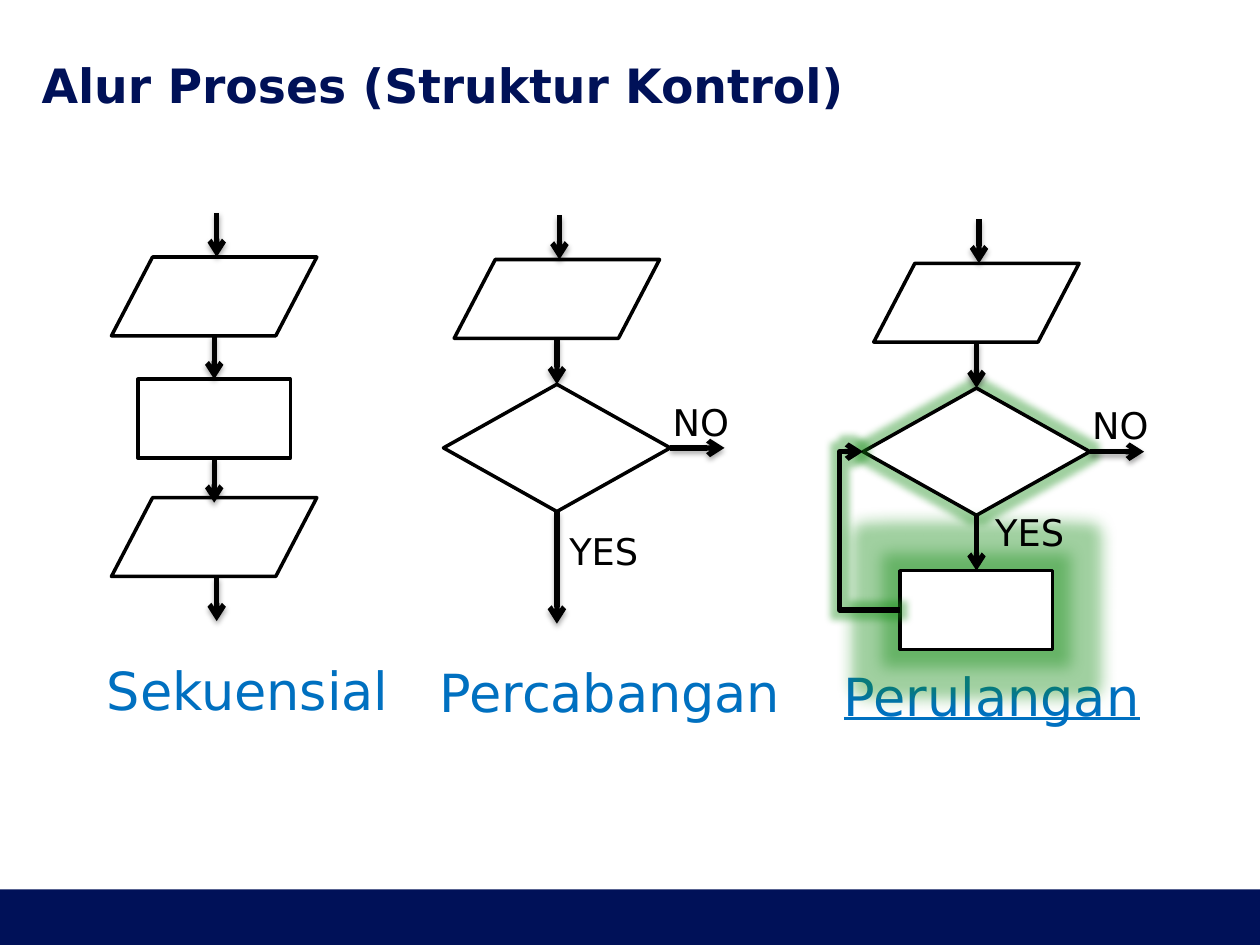
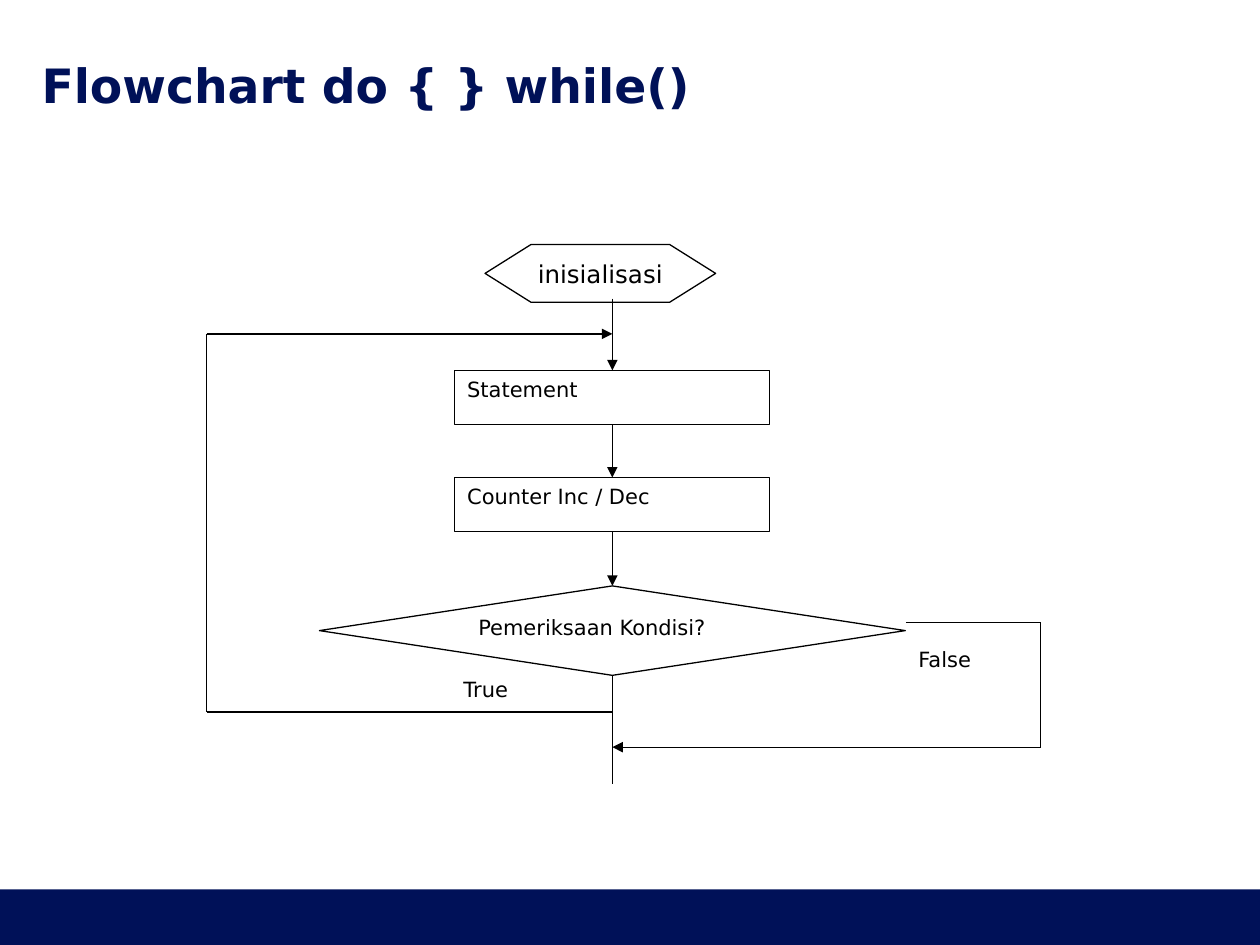
from dataclasses import dataclass
from itertools import pairwise
from typing import NamedTuple

from lxml.etree import SubElement
from pptx import Presentation
from pptx.dml.color import RGBColor
from pptx.enum.shapes import MSO_CONNECTOR, MSO_SHAPE
from pptx.enum.text import MSO_ANCHOR, PP_ALIGN
from pptx.oxml.ns import qn
from pptx.shapes.autoshape import Shape
from pptx.shapes.connector import Connector
from pptx.slide import Slide
from pptx.util import Inches, Pt

COLUMNS, ROWS = 100, 75
CELL = Inches(10) // COLUMNS
TOP, LEFT, BOTTOM, RIGHT = range(4)


@dataclass(frozen=True)
class Theme:
    font: str = "DejaVu Sans"
    navy: str = "001158"
    blue: str = "0070C0"
    black: str = "000000"
    white: str = "FFFFFF"
    glow: str = "128A12"
    title: float = 27
    caption: float = 30
    branch: float = 21
    start: float = 14
    node: float = 12
    arrow_line: float = 3
    symbol_line: float = 2
    thin_line: float = 0.75


THEME = Theme()


class Area(NamedTuple):
    left: float
    top: float
    width: float
    height: float


class Point(NamedTuple):
    column: float
    row: float


class Joint(NamedTuple):
    shape: Shape
    side: int


@dataclass(frozen=True)
class Pen:
    width: float
    head: str = ""
    shadow: bool = False


@dataclass(frozen=True)
class Flow:
    axis: float
    top: float
    caption: str
    caption_left: float
    caption_width: float
    underline: bool = False

    def centred(self, drop: float, width: float, height: float) -> Area:
        return Area(self.axis - width / 2, self.top + drop, width, height)

    def point(self, drop: float, shift: float = 0) -> Point:
        return Point(self.axis + shift, self.top + drop)


BOLD_ARROW = Pen(THEME.arrow_line, "arrow", True)
PLAIN_ARROW = Pen(THEME.arrow_line, "arrow")
THIN_LINE = Pen(THEME.thin_line)
THIN_ARROW = Pen(THEME.thin_line, "triangle")

SEQUENCE = Flow(17, 20.4, "Sekuensial", 7.5, 24.8)
BRANCHING = Flow(44.2, 20.6, "Percabangan", 33.9, 29.2)
LOOP = Flow(77.5, 20.9, "Perulangan", 66, 25.7, True)


def cells(count: float) -> int:
    return round(count * CELL)


def emu(area: tuple[float, ...]) -> list[int]:
    return [cells(value) for value in area]


def color(value: str) -> RGBColor:
    return RGBColor.from_string(value)


def add_effect(properties, kind: str, tint: str, alpha: int, **settings: int) -> None:
    effects = properties.find(qn("a:effectLst"))
    effect = SubElement(effects, qn(f"a:{kind}"), {key: str(value) for key, value in settings.items()})
    shade = SubElement(effect, qn("a:srgbClr"), val=tint)
    SubElement(shade, qn("a:alpha"), val=str(alpha * 1000))


def add_glow(properties, radius: float) -> None:
    add_effect(properties, "glow", THEME.glow, 40, rad=Pt(radius))


def write(box: Shape, text: str, size: float, tint: str = THEME.black, bold: bool = False,
          underline: bool = False, align: PP_ALIGN = PP_ALIGN.LEFT,
          anchor: MSO_ANCHOR = MSO_ANCHOR.TOP, wrap: bool = True) -> None:
    frame = box.text_frame
    frame.text = text
    frame.word_wrap = wrap
    frame.vertical_anchor = anchor
    para = frame.paragraphs[0]
    para.alignment = align
    font = para.runs[0].font
    font.name, font.size, font.bold, font.underline = THEME.font, Pt(size), bold, underline
    font.color.rgb = color(tint)


def add_symbol(page: Slide, kind: MSO_SHAPE, area: Area, line: float = 0,
               fill: str = THEME.white, glow: float = 0) -> Shape:
    shape = page.shapes.add_shape(kind, *emu(area))
    shape.shadow.inherit = False
    if fill:
        shape.fill.solid()
        shape.fill.fore_color.rgb = color(fill)
    else:
        shape.fill.background()
    if line:
        shape.line.color.rgb = color(THEME.black)
        shape.line.width = Pt(line)
    else:
        shape.line.fill.background()
    if glow:
        add_glow(shape.element.spPr, glow)
    return shape


def add_node(page: Slide, kind: MSO_SHAPE, area: Area, text: str, line: float = THEME.thin_line) -> Shape:
    shape = add_symbol(page, kind, area, line)
    write(shape, text, THEME.node)
    return shape


def add_label(page: Slide, area: Area, text: str, size: float, tint: str = THEME.black,
              underline: bool = False) -> None:
    box = page.shapes.add_textbox(*emu(area))
    write(box, text, size, tint, underline=underline, wrap=False)


def style_connector(connector: Connector, pen: Pen) -> None:
    connector.line.color.rgb = color(THEME.black)
    connector.line.width = Pt(pen.width)
    properties = connector.element.spPr
    if pen.head:
        SubElement(connector.line._get_or_add_ln(), qn("a:tailEnd"), type=pen.head)
    SubElement(properties, qn("a:effectLst"))
    if pen.shadow:
        add_effect(properties, "outerShdw", THEME.black, 35,
                   blurRad=Pt(3.1), dist=Pt(1.8), dir=90 * 60000)


def locate(end: Point | Joint) -> tuple[int, int]:
    if isinstance(end, Point):
        return cells(end.column), cells(end.row)
    shape, side = end
    across = {LEFT: 0, RIGHT: shape.width}.get(side, shape.width // 2)
    down = {TOP: 0, BOTTOM: shape.height}.get(side, shape.height // 2)
    return shape.left + across, shape.top + down


def add_line(page: Slide, start: Point | Joint, end: Point | Joint, pen: Pen) -> None:
    connector = page.shapes.add_connector(MSO_CONNECTOR.STRAIGHT, *locate(start), *locate(end))
    style_connector(connector, pen)
    if isinstance(start, Joint):
        connector.begin_connect(*start)
    if isinstance(end, Joint):
        connector.end_connect(*end)


def add_route(page: Slide, *points: Point) -> None:
    for start, end in pairwise(points):
        add_line(page, start, end, THIN_ARROW if end == points[-1] else THIN_LINE)


def add_return(page: Slide, start: Joint, end: Joint, reach: float, glow: float) -> None:
    connector = page.shapes.add_connector(MSO_CONNECTOR.ELBOW, *locate(start), *locate(end))
    style_connector(connector, PLAIN_ARROW)
    properties = connector.element.spPr
    guides = properties.find(qn("a:prstGeom")).get_or_add_avLst()
    SubElement(guides, qn("a:gd"), name="adj1", fmla=f"val {round(reach * 100000)}")
    add_glow(properties, glow)


def add_page(deck, title: str) -> Slide:
    page = deck.slides.add_slide(deck.slide_layouts[6])
    add_symbol(page, MSO_SHAPE.RECTANGLE, Area(0, 70.6, COLUMNS, 4.4), fill=THEME.navy)
    box = page.shapes.add_textbox(*emu(Area(3.3, 4.4, 93.4, 4.7)))
    frame = box.text_frame
    frame.margin_left = frame.margin_right = frame.margin_top = frame.margin_bottom = 0
    write(box, title, THEME.title, THEME.navy, bold=True, anchor=MSO_ANCHOR.MIDDLE)
    return page


def add_data(page: Slide, flow: Flow, drop: float = 0) -> None:
    add_symbol(page, MSO_SHAPE.FLOWCHART_DATA, flow.centred(drop, 16.3, 6.25), THEME.symbol_line)


def add_entry(page: Slide, flow: Flow) -> None:
    add_data(page, flow)
    add_line(page, flow.point(-3.5, 0.2), flow.point(0, 0.2), BOLD_ARROW)
    add_label(page, Area(flow.caption_left, flow.top + 31.3, flow.caption_width, 6.1),
              flow.caption, THEME.caption, THEME.blue, flow.underline)


def add_process(page: Slide, flow: Flow, drop: float, glow: float = 0) -> Shape:
    return add_symbol(page, MSO_SHAPE.RECTANGLE, flow.centred(drop, 12.1, 6.25),
                      THEME.symbol_line, glow=glow)


def add_decision(page: Slide, flow: Flow, glow: float = 0) -> Shape:
    decision = add_symbol(page, MSO_SHAPE.FLOWCHART_DECISION, flow.centred(9.9, 18, 10.1),
                          THEME.symbol_line, glow=glow)
    add_line(page, flow.point(6.25), Joint(decision, TOP), BOLD_ARROW)
    add_line(page, Joint(decision, RIGHT), flow.point(14.95, 13.3), BOLD_ARROW)
    add_label(page, Area(flow.axis + 8.2, flow.top + 10.6, 6.5, 4.5), "NO", THEME.branch)
    return decision


def add_control_structures(deck) -> None:
    page = add_page(deck, "Alur Proses (Struktur Kontrol)")

    add_entry(page, SEQUENCE)
    process = add_process(page, SEQUENCE, 9.7)
    add_data(page, SEQUENCE, 19.1)
    add_line(page, SEQUENCE.point(6.25), Joint(process, TOP), BOLD_ARROW)
    add_line(page, Joint(process, BOTTOM), SEQUENCE.point(19.5), BOLD_ARROW)
    add_line(page, SEQUENCE.point(25.4, 0.2), SEQUENCE.point(28.9, 0.2), BOLD_ARROW)

    add_entry(page, BRANCHING)
    decision = add_decision(page, BRANCHING)
    add_line(page, Joint(decision, BOTTOM), BRANCHING.point(28.9), BOLD_ARROW)
    add_label(page, Area(44.2, 41.5, 7.7, 4.5), "YES", THEME.branch)

    add_entry(page, LOOP)
    decision = add_decision(page, LOOP, glow=8)
    process = add_process(page, LOOP, 24.4, glow=18)
    add_line(page, Joint(decision, BOTTOM), Joint(process, TOP), PLAIN_ARROW)
    add_label(page, Area(78, 40, 7.7, 4.5), "YES", THEME.branch)
    add_return(page, Joint(process, LEFT), Joint(decision, LEFT), 1.63, glow=8)


def add_do_while(deck) -> None:
    page = add_page(deck, "Flowchart do { } while()")
    axis, outer_left, outer_right = 48.6, 16.4, 82.6
    loop_top, loop_bottom, exit_row = 26.5, 56.5, 59.3

    statement, counter = [
        add_node(page, MSO_SHAPE.RECTANGLE, Area(axis - 12.5, top, 25, 4.3), text)
        for top, text in ((29.4, "Statement"), (37.9, "Counter Inc / Dec"))
    ]
    condition = add_node(page, MSO_SHAPE.DIAMOND, Area(axis - 23.25, 46.5, 46.5, 7.1),
                         "Pemeriksaan Kondisi?")
    add_node(page, MSO_SHAPE.RECTANGLE, Area(71.9, 50.8, 8.9, 2.9), "False", 0)
    add_node(page, MSO_SHAPE.RECTANGLE, Area(35.8, 53.2, 6.8, 2.7), "True", 0)
    start = add_symbol(page, MSO_SHAPE.FLOWCHART_PREPARATION, Area(38.5, 19.4, 18.3, 4.6),
                       THEME.thin_line, fill="")
    write(start, "inisialisasi", THEME.start, align=PP_ALIGN.CENTER,
          anchor=MSO_ANCHOR.MIDDLE, wrap=False)

    add_line(page, Point(axis, 23.7), Joint(statement, TOP), THIN_ARROW)
    for upper, lower in pairwise((statement, counter, condition)):
        add_line(page, Joint(upper, BOTTOM), Joint(lower, TOP), THIN_ARROW)
    add_line(page, Joint(condition, BOTTOM), Point(axis, 62.2), THIN_LINE)
    add_route(page, Point(axis, loop_bottom), Point(outer_left, loop_bottom),
              Point(outer_left, loop_top), Point(axis, loop_top))
    add_route(page, Point(71.9, 49.4), Point(outer_right, 49.4),
              Point(outer_right, exit_row), Point(axis, exit_row))


def main() -> None:
    deck = Presentation()
    deck.slide_width, deck.slide_height = cells(COLUMNS), cells(ROWS)
    add_control_structures(deck)
    add_do_while(deck)
    deck.save("out.pptx")


if __name__ == "__main__":
    main()
